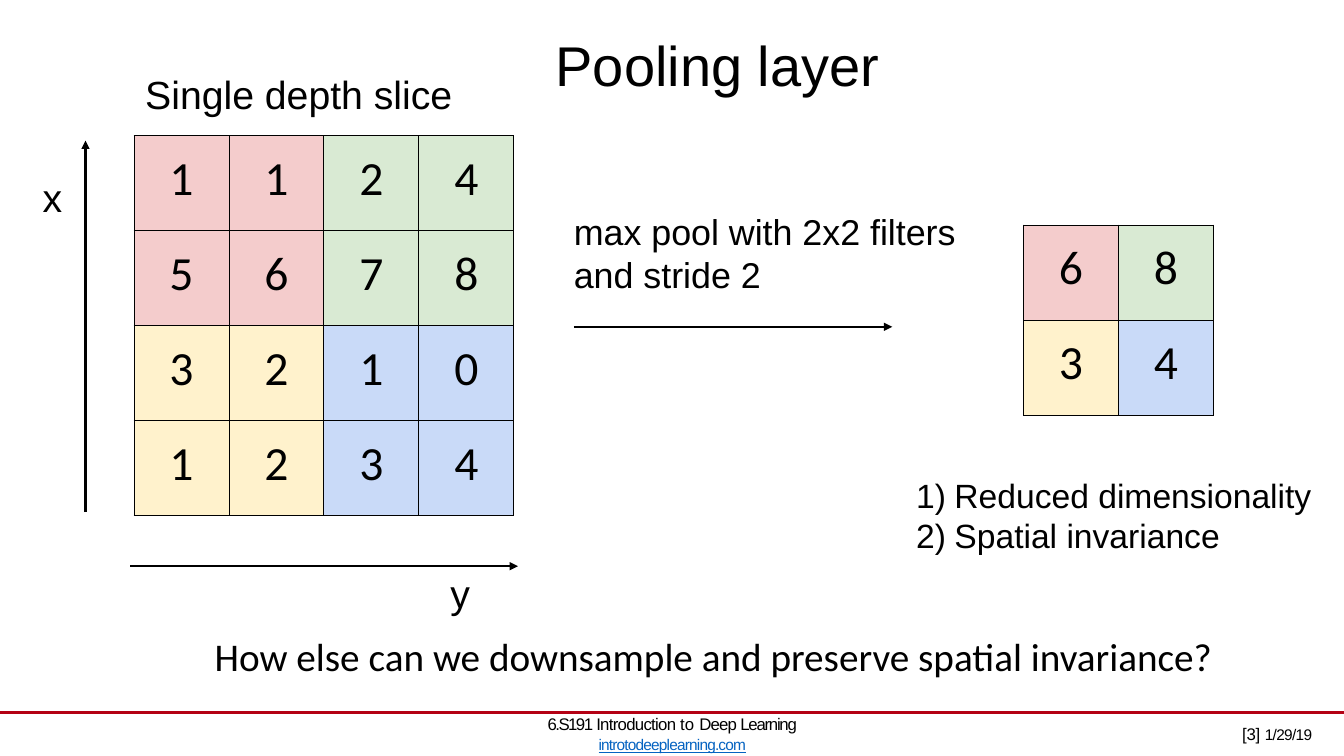
from collections import namedtuple

from pptx import Presentation
from pptx.dml.color import RGBColor
from pptx.enum.shapes import MSO_CONNECTOR
from pptx.enum.text import MSO_ANCHOR, PP_ALIGN
from pptx.oxml.ns import qn
from pptx.oxml.xmlchemy import OxmlElement
from pptx.util import Inches, Pt

BLACK = RGBColor(0x00, 0x00, 0x00)
CRIMSON = RGBColor(0xB4, 0x01, 0x14)
LINK_BLUE = RGBColor(0x05, 0x63, 0xC1)
PINK = RGBColor(0xF4, 0xCC, 0xCC)
GREEN = RGBColor(0xD9, 0xEA, 0xD3)
YELLOW = RGBColor(0xFF, 0xF2, 0xCC)
BLUE = RGBColor(0xC9, 0xDA, 0xF8)
QUADRANTS = [[PINK, GREEN], [YELLOW, BLUE]]

SLIDE_WIDTH, SLIDE_HEIGHT = Inches(13.33), Inches(7.5)
CELL = int(Inches(3.77) / 4)  # grid unit: one cell of the matrices
PADDING = Inches(0.14)
SLICE = [[1, 1, 2, 4], [5, 6, 7, 8], [3, 2, 1, 0], [1, 2, 3, 4]]

# Left, top, width and height in grid cells
Box = namedtuple("Box", "left top width height")


def inside(region, left, top, width, height):
    return Box(region.left + left, region.top + top, width, height)


def emu(*cells):
    return [round(count * CELL) for count in cells]


def add_xml(parent, tag, **attributes):
    child = OxmlElement(tag)
    for name, value in attributes.items():
        child.set(name, value)
    parent.append(child)
    return child


def set_all(target, formats):
    for name, value in formats.items():
        setattr(target, name, value)


def format_frame(frame, padding=0, wrap=True):
    set_all(frame, {"margin_left": padding, "margin_right": padding,
                    "margin_top": padding, "margin_bottom": padding,
                    "word_wrap": wrap, "vertical_anchor": MSO_ANCHOR.TOP})


def write(para, text, size, name="Arial", color=BLACK, tracking=0, **formats):
    span = para.add_run()
    span.text = text
    set_all(span.font, {"size": Pt(size), "name": name, **formats})
    span.font.color.rgb = color
    if tracking:
        span.font._element.set("spc", str(round(tracking * 100)))


def add_text(page, box, text="", size=28, name="Arial", padding=0, wrap=True):
    frame = page.shapes.add_textbox(*emu(*box)).text_frame
    format_frame(frame, padding, wrap)
    if text:
        write(frame.paragraphs[0], text, size, name)
    return frame


def add_line(page, start, end, color=BLACK, width=1.5, arrow=True):
    line = page.shapes.add_connector(MSO_CONNECTOR.STRAIGHT, *emu(*start, *end))
    line.line.color.rgb = color
    line.line.width = Pt(width)
    properties = line._element.spPr
    if arrow:
        add_xml(properties.find(qn("a:ln")), "a:tailEnd", type="triangle")
    add_xml(properties, "a:effectLst")


def add_borders(cell):
    properties = cell._tc.get_or_add_tcPr()
    for position, side in enumerate(("a:lnL", "a:lnR", "a:lnT", "a:lnB")):
        border = add_xml(properties, side, w=str(Pt(0.75)))
        add_xml(add_xml(border, "a:solidFill"), "a:srgbClr", val=str(BLACK))
        properties.insert(position, border)


def add_matrix(page, box, values):
    """Draw a square matrix whose four quadrants have their own colours."""
    count = len(values)
    table = page.shapes.add_table(count, count, *emu(*box)).table
    set_all(table, {"first_row": False, "horz_banding": False})
    for index in range(count):
        table.columns[index].width = CELL
        table.rows[index].height = CELL
    for row, numbers in enumerate(values):
        for column, number in enumerate(numbers):
            cell = table.cell(row, column)
            set_all(cell, {"margin_left": PADDING, "margin_right": PADDING,
                           "margin_top": PADDING, "margin_bottom": PADDING})
            cell.fill.solid()
            cell.fill.fore_color.rgb = QUADRANTS[row * 2 // count][column * 2 // count]
            add_borders(cell)
            para = cell.text_frame.paragraphs[0]
            para.alignment = PP_ALIGN.CENTER
            write(para, str(number), 34, "Calibri")


def max_pool(values):
    return [[max(values[row + i][column + j] for i in (0, 1) for j in (0, 1))
             for column in range(0, len(values), 2)]
            for row in range(0, len(values), 2)]


def add_title(page, box):
    title = page.shapes.title
    left, top, width, height = emu(*box)
    set_all(title, {"left": left, "top": top, "width": width, "height": height})
    format_frame(title.text_frame)
    para = title.text_frame.paragraphs[0]
    para.alignment = PP_ALIGN.CENTER
    write(para, "Pooling layer", 40)


def add_input(page, box):
    """Draw the depth slice with its caption and both axes."""
    add_matrix(page, box, SLICE)
    for text, place in (("Single depth slice", (-0.03, -0.84, 4.32, 0.93)),
                        ("x", (-1.11, 0.25, 0.65, 0.77)),
                        ("y", (3.18, 4.41, 0.65, 0.6))):
        add_text(page, inside(box, *place), text, padding=PADDING)
    axis_x, axis_y = box.left - 0.51, box.top + 4.53
    add_line(page, (axis_x, box.top + 3.96), (axis_x, box.top + 0.05))
    add_line(page, (box.left - 0.04, axis_y), (box.left + 4.04, axis_y))


def add_pooling_step(page, box):
    add_text(page, box, "max pool with 2x2 filters and stride 2", 25.6,
             padding=PADDING)
    level = box.top + 1.38
    add_line(page, (box.left + 0.15, level), (box.left + 3.5, level))


def add_output(page, box):
    """Draw the pooled matrix and the numbered benefits below it."""
    add_matrix(page, box, max_pool(SLICE))
    frame = add_text(page, inside(box, -1.14, 2.63, 4.41, 0.87))
    for index, text in enumerate(("Reduced dimensionality", "Spatial invariance")):
        para = frame.add_paragraph() if index else frame.paragraphs[0]
        properties = para._p.get_or_add_pPr()
        properties.set("marL", str(Inches(0.39)))
        properties.set("indent", str(Inches(-0.38)))
        add_xml(properties, "a:buFont", typeface="Arial")
        add_xml(properties, "a:buAutoNum", type="arabicParenR")
        add_xml(add_xml(properties, "a:tabLst"), "a:tab",
                pos=str(Inches(0.39)), algn="l")
        write(para, text, 24)


def add_footer(page, box):
    add_line(page, (box.left, box.top), (box.left + box.width, box.top),
             CRIMSON, 2.25, arrow=False)
    frame = add_text(page, inside(box, 5.74, 0.02, 2.67, 0.44))
    course, link = frame.paragraphs[0], frame.add_paragraph()
    set_all(course, {"alignment": PP_ALIGN.CENTER, "line_spacing": Pt(14.2)})
    for text, tracking in (("6.S191 ", -1.1), ("Introduction ", -0.5), ("to ", 0.1),
                           ("Deep", -0.6), (" Learning", -0.9)):
        write(course, text, 12, tracking=tracking)
    set_all(link, {"alignment": PP_ALIGN.CENTER, "space_before": Pt(0.8)})
    write(link, "introtodeeplearning.com", 11, color=LINK_BLUE, tracking=-0.6,
          underline=True)
    date = add_text(page, inside(box, 13.07, 0.12, 0.84, 0.23), wrap=False).paragraphs[0]
    date.line_spacing = Pt(14.2)
    write(date, "[3] ", 12, tracking=-0.1)
    write(date, "1/29/19", 11, tracking=-0.5)


def main():
    deck = Presentation()
    set_all(deck, {"slide_width": SLIDE_WIDTH, "slide_height": SLIDE_HEIGHT})
    page = deck.slides.add_slide(deck.slide_layouts[5])
    add_footer(page, Box(0, 7.5, SLIDE_WIDTH / CELL, 0.46))
    add_title(page, Box(5.55, 0.32, 4, 0.73))
    add_text(page, Box(2.26, 6.66, 10.92, 0.52),
             "How else can we downsample and preserve spatial invariance?",
             28, "Calibri")
    add_input(page, Box(1.41, 1.43, 4, 4))
    add_pooling_step(page, Box(5.89, 2.06, 4.41, 1.2))
    add_output(page, Box(10.77, 2.37, 2, 2))
    deck.save("out.pptx")


if __name__ == "__main__":
    main()
